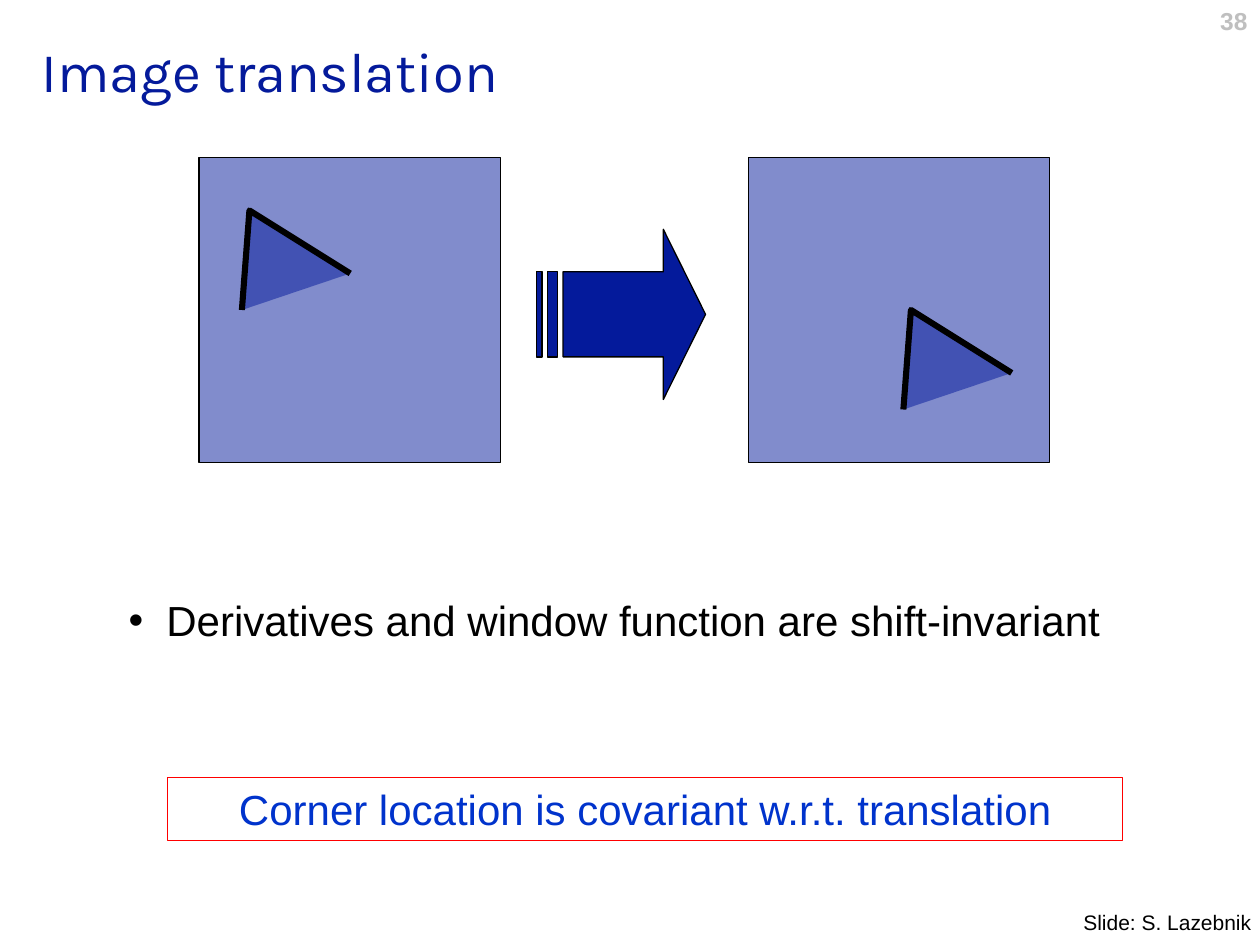
from lxml.etree import SubElement
from pptx import Presentation
from pptx.dml.color import RGBColor
from pptx.enum.shapes import MSO_SHAPE
from pptx.enum.text import MSO_ANCHOR, MSO_AUTO_SIZE, PP_ALIGN
from pptx.oxml.ns import qn
from pptx.util import Inches, Pt

NAVY, BLACK = "041A9B", "000000"
PANEL_TOP, PANEL_WIDTH, PANEL_HEIGHT = 1.25, 2.39, 2.42
# Corner outline, relative to its lower left end
CORNER = [(0, 0), (0.06, -0.79), (0.86, -0.29)]


def color(hex_string):
    return RGBColor.from_string(hex_string)


def place(shape, left, top, width, height):
    shape.left, shape.top = Inches(left), Inches(top)
    shape.width, shape.height = Inches(width), Inches(height)


def write(shape, text, size, hex_string, font="Arial", align=PP_ALIGN.LEFT,
          anchor=MSO_ANCHOR.TOP, bold=False):
    frame = shape.text_frame
    frame.text = text
    frame.word_wrap = True
    frame.auto_size = MSO_AUTO_SIZE.NONE
    frame.vertical_anchor = anchor
    para = frame.paragraphs[0]
    para.alignment = align
    para.space_before = Pt(0)
    para.line_spacing = 1.0
    span = para.runs[0].font
    span.name, span.size, span.bold = font, Pt(size), bold
    span.color.rgb = color(hex_string)
    return para


def add_label(page, box, text, size, hex_string, **options):
    label = page.shapes.add_textbox(*map(Inches, box))
    write(label, text, size, hex_string, **options)
    return label


def paint(shape, fill=None, line=BLACK, width=0.75, opacity=100):
    shape.shadow.inherit = False
    shape.line.color.rgb = color(line)
    shape.line.width = Pt(width)
    if fill is None:
        shape.fill.background()
        return
    shape.fill.solid()
    shape.fill.fore_color.rgb = color(fill)
    if opacity < 100:
        tint = shape._element.spPr.find(qn("a:solidFill"))[0]
        SubElement(tint, qn("a:alpha"), val=str(opacity * 1000))


def add_preset(page, kind, box, **look):
    shape = page.shapes.add_shape(kind, *map(Inches, box))
    paint(shape, **look)
    return shape


def add_panel(page, left, corner_left, corner_bottom):
    """Draw a square image with a corner feature inside it."""
    add_preset(page, MSO_SHAPE.RECTANGLE,
               (left, PANEL_TOP, PANEL_WIDTH, PANEL_HEIGHT), fill=NAVY, opacity=50)
    points = [(Inches(corner_left + x), Inches(corner_bottom + y)) for x, y in CORNER]
    builder = page.shapes.build_freeform(*points[0])
    builder.add_line_segments(points[1:], close=False)
    corner = builder.convert_to_shape()
    paint(corner, fill=NAVY, width=3.5, opacity=50)
    SubElement(corner.line._get_or_add_ln(), qn("a:round"))


def add_bullet(para, indent):
    properties = para._p.get_or_add_pPr()
    properties.set("marL", str(Inches(indent)))
    properties.set("indent", str(-Inches(indent)))
    SubElement(properties, qn("a:buFont"), typeface="Arial")
    SubElement(properties, qn("a:buChar"), char="•")


def main():
    deck = Presentation()
    deck.slide_width, deck.slide_height = Inches(10), Inches(7.5)
    page = deck.slides.add_slide(deck.slide_layouts[1])
    title, body = page.placeholders

    place(title, 0.23, 0.18, 9.54, 0.76)
    write(title, "Image translation", 32, NAVY, font="Karla", anchor=MSO_ANCHOR.MIDDLE)
    place(body, 0.92, 4.67, 8.42, 0.5)
    add_bullet(write(body, "Derivatives and window function are shift-invariant",
                     24, BLACK), 0.3)

    add_panel(page, 1.58, 1.92, 2.46)
    arrow = add_preset(page, MSO_SHAPE.STRIPED_RIGHT_ARROW, (4.26, 1.82, 1.34, 1.35),
                       fill=NAVY)
    arrow.adjustments[1] = 0.25
    add_panel(page, 5.94, 7.17, 3.25)

    conclusion = add_preset(page, MSO_SHAPE.RECTANGLE, (1.33, 6.17, 7.58, 0.5),
                            line="FF0000")
    write(conclusion, "Corner location is covariant w.r.t. translation", 24, "0033CC",
          align=PP_ALIGN.CENTER, anchor=MSO_ANCHOR.MIDDLE)

    add_label(page, (7.67, 0, 2.33, 0.4), "38", 14, "BFBFBF",
              align=PP_ALIGN.RIGHT, bold=True)
    credit = add_label(page, (8.5, 7.17, 1.5, 0.3), "Slide: S. Lazebnik", 12, BLACK)
    credit.text_frame.margin_right = 0

    deck.save("out.pptx")


if __name__ == "__main__":
    main()
